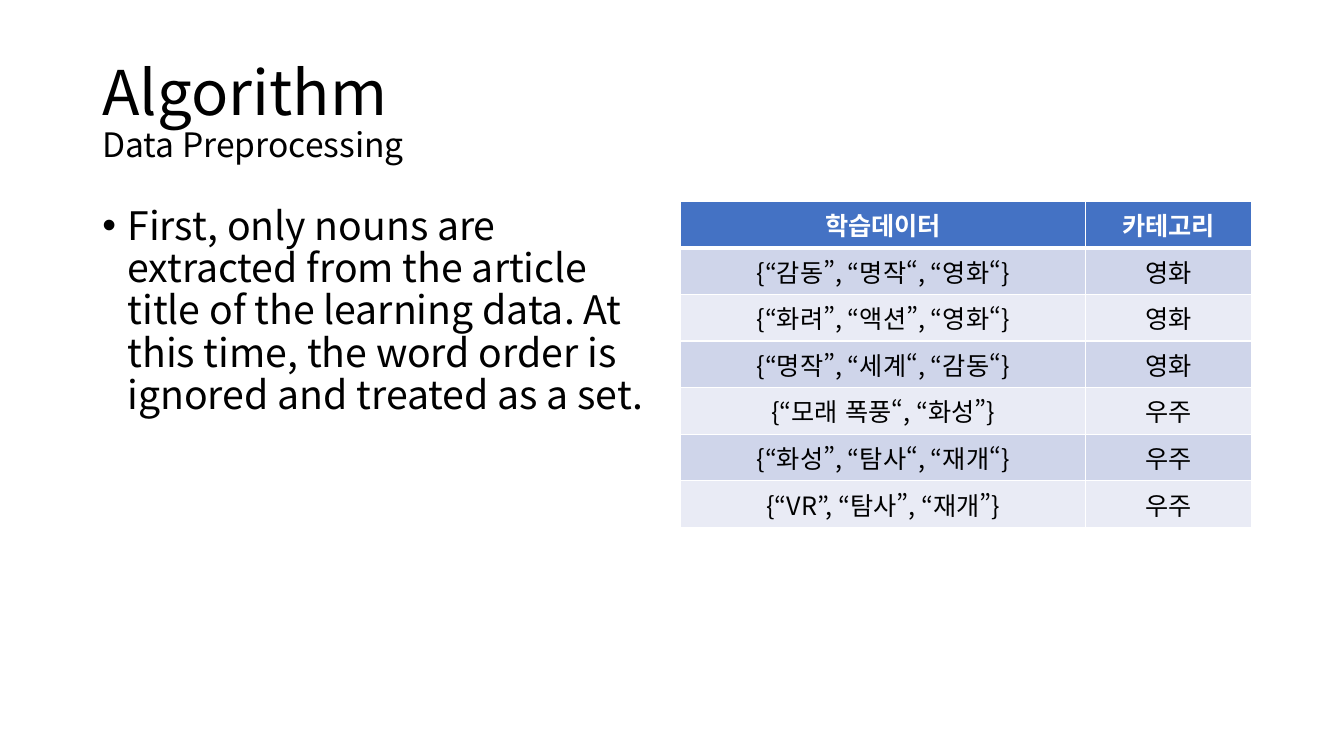
from lxml import etree
from pptx import Presentation
from pptx.dml.color import RGBColor
from pptx.enum.text import MSO_ANCHOR, MSO_AUTO_SIZE, PP_ALIGN
from pptx.oxml.ns import qn
from pptx.util import Pt

LEFT, CENTER = PP_ALIGN.LEFT, PP_ALIGN.CENTER
MIDDLE, TOP = MSO_ANCHOR.MIDDLE, MSO_ANCHOR.TOP
NO_FIT = MSO_AUTO_SIZE.NONE
TITLE_ONLY = 5

FONT = "Noto Sans CJK KR"
COLORS = {
    "text": "000000",
    "white": "FFFFFF",
    "header": "4472C4",
    "odd": "CFD5EA",
    "even": "E9EBF5",
}

TITLE_LINES = [("Algorithm", 44), ("Data Preprocessing", 24)]
BODY = (
    "First, only nouns are extracted from the article title of the learning data. "
    "At this time, the word order is ignored and treated as a set."
)
TABLE_ROWS = [
    ("학습데이터", "카테고리"),
    ("{“감동”, “명작“, “영화“}", "영화"),
    ("{“화려”, “액션”, “영화“}", "영화"),
    ("{“명작”, “세계“, “감동“}", "영화"),
    ("{“모래 폭풍“, “화성”}", "우주"),
    ("{“화성”, “탐사“, “재개“}", "우주"),
    ("{“VR”, “탐사”, “재개”}", "우주"),
]

PAGE_WIDTH, PAGE_HEIGHT = 960, 540
MARGIN = 66
TITLE_TOP, TITLE_HEIGHT = 28.75, 104.38
CONTENT_TOP, BODY_HEIGHT = 143.75, 342.62
CONTENT_WIDTH, GAP = 408, 12
COLUMN_WIDTHS = (289.6, 118.4)
ROW_HEIGHT = 29.2
INDENT = 18


def write(paragraph, text, size, color="text", bold=False, align=LEFT):
    paragraph.alignment = align
    span = paragraph.add_run()
    span.text = text
    font = span.font
    font.size = Pt(size)
    font.bold = bold
    font.color.rgb = RGBColor.from_string(COLORS[color])
    font.name = FONT
    properties = span._r.get_or_add_rPr()
    properties.set("lang", "ko-KR")
    etree.SubElement(properties, qn("a:ea"), typeface=FONT)


def prepare_frame(frame, anchor):
    frame.word_wrap = True
    frame.auto_size = NO_FIT
    frame.vertical_anchor = anchor
    paragraph = frame.paragraphs[0]
    paragraph.line_spacing = 0.9
    return paragraph


def add_bullet(paragraph):
    properties = paragraph._p.get_or_add_pPr()
    properties.set("marL", str(Pt(INDENT)))
    properties.set("indent", str(-Pt(INDENT)))
    etree.SubElement(properties, qn("a:buFont"), typeface="Arial")
    etree.SubElement(properties, qn("a:buChar"), char="•")


def add_borders(cell, widths):
    properties = cell._tc.get_or_add_tcPr()
    for side, width in widths.items():
        line = etree.SubElement(properties, qn(f"a:ln{side}"), w=str(Pt(width)))
        fill = etree.SubElement(line, qn("a:solidFill"))
        etree.SubElement(fill, qn("a:srgbClr"), val=COLORS["white"])


deck = Presentation()
deck.slide_width, deck.slide_height = Pt(PAGE_WIDTH), Pt(PAGE_HEIGHT)
page = deck.slides.add_slide(deck.slide_layouts[TITLE_ONLY])

title = page.shapes.title
title.left, title.top = Pt(MARGIN), Pt(TITLE_TOP)
title.width, title.height = Pt(PAGE_WIDTH - 2 * MARGIN), Pt(TITLE_HEIGHT)
paragraph = prepare_frame(title.text_frame, MIDDLE)
for number, (text, size) in enumerate(TITLE_LINES):
    if number:
        paragraph.add_line_break()
    write(paragraph, text, size)

box = page.shapes.add_textbox(
    Pt(MARGIN), Pt(CONTENT_TOP), Pt(CONTENT_WIDTH), Pt(BODY_HEIGHT)
)
paragraph = prepare_frame(box.text_frame, TOP)
paragraph.space_before = Pt(10)
add_bullet(paragraph)
write(paragraph, BODY, 28)

table = page.shapes.add_table(
    len(TABLE_ROWS), len(COLUMN_WIDTHS),
    Pt(MARGIN + CONTENT_WIDTH + GAP), Pt(CONTENT_TOP),
    Pt(CONTENT_WIDTH), Pt(ROW_HEIGHT * len(TABLE_ROWS)),
).table
for column, width in zip(table.columns, COLUMN_WIDTHS):
    column.width = Pt(width)
for row_number, texts in enumerate(TABLE_ROWS):
    table.rows[row_number].height = Pt(ROW_HEIGHT)
    is_header = row_number == 0
    fill_name = "header" if is_header else ("even", "odd")[row_number % 2]
    borders = {
        "L": 1,
        "R": 1,
        "T": 3 if row_number == 1 else 1,
        "B": 3 if is_header else 1,
    }
    for column_number, text in enumerate(texts):
        cell = table.cell(row_number, column_number)
        add_borders(cell, borders)
        cell.fill.solid()
        cell.fill.fore_color.rgb = RGBColor.from_string(COLORS[fill_name])
        write(
            cell.text_frame.paragraphs[0], text, 18,
            color="white" if is_header else "text",
            bold=is_header, align=CENTER,
        )

deck.save("out.pptx")
